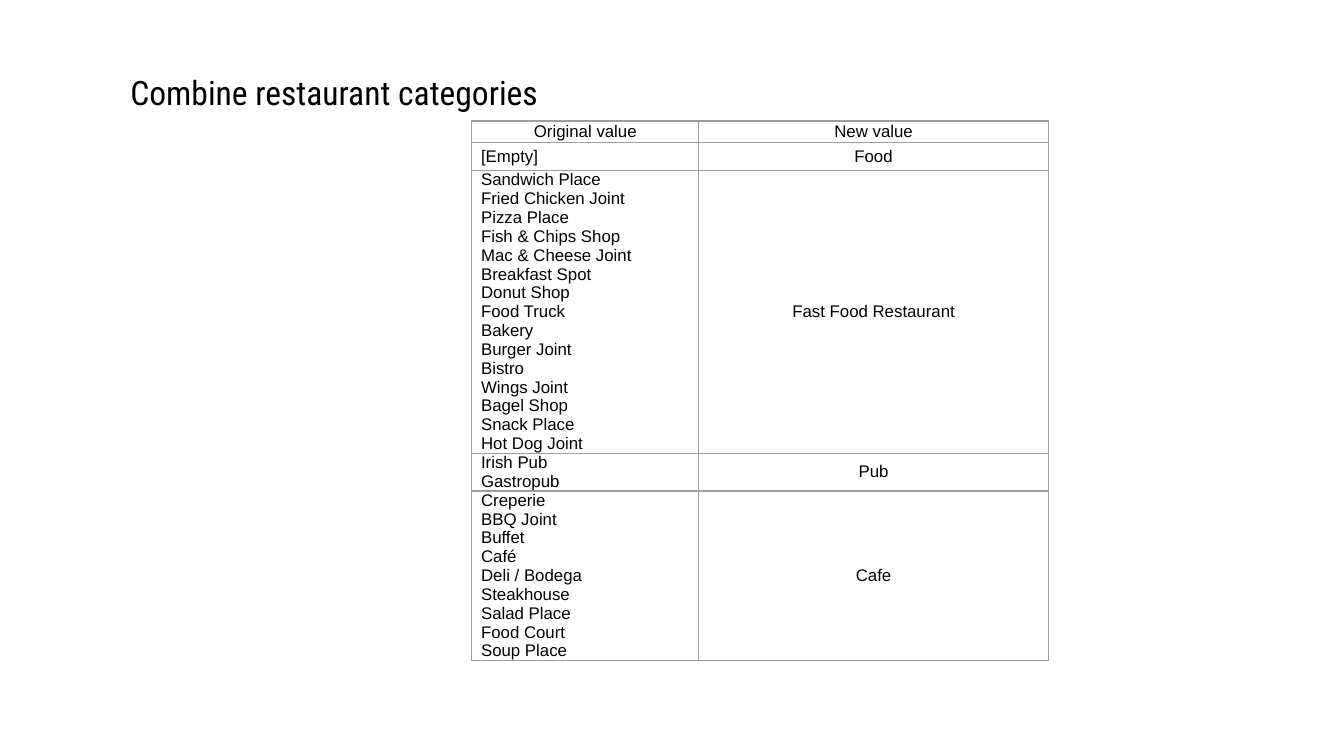
from pptx import Presentation
from pptx.dml.color import RGBColor
from pptx.enum.text import MSO_ANCHOR, MSO_AUTO_SIZE, PP_ALIGN
from pptx.oxml import parse_xml
from pptx.oxml.ns import nsdecls
from pptx.util import Inches, Pt

TOP, MIDDLE = MSO_ANCHOR.TOP, MSO_ANCHOR.MIDDLE
LEFT, CENTER, JUSTIFY = PP_ALIGN.LEFT, PP_ALIGN.CENTER, PP_ALIGN.JUSTIFY
NO_AUTOFIT = MSO_AUTO_SIZE.NONE
TITLE_ONLY = 5

SLIDE_WIDTH = 10
SLIDE_HEIGHT = SLIDE_WIDTH * 9 / 16
BLACK, WHITE, GREY = "000000", "FFFFFF", "9E9E9E"
COLUMN_WIDTHS = (1.69, 2.6)

# Row height, original values, new value
CATEGORIES = [
    (0.21, ["[Empty]"], "Food"),
    (1.94, ["Sandwich Place", "Fried Chicken Joint", "Pizza Place",
            "Fish & Chips Shop", "Mac & Cheese Joint", "Breakfast Spot",
            "Donut Shop", "Food Truck", "Bakery", "Burger Joint", "Bistro",
            "Wings Joint", "Bagel Shop", "Snack Place", "Hot Dog Joint"],
     "Fast Food Restaurant"),
    (0.26, ["Irish Pub", "Gastropub"], "Pub"),
    (1.17, ["Creperie", "BBQ Joint", "Buffet", "Café", "Deli / Bodega",
            "Steakhouse", "Salad Place", "Food Court", "Soup Place"], "Cafe"),
]


def color(hex_value):
    return RGBColor.from_string(hex_value)


def set_font(para, name, size):
    para.font.name = name
    para.font.size = Pt(size)
    para.font.color.rgb = color(BLACK)


def add_title(page, text):
    title = page.shapes.title
    title.left, title.top = Inches(0.7), Inches(0.39)
    title.width, title.height = Inches(8.61), Inches(4.81)
    frame = title.text_frame
    frame.word_wrap = True
    frame.auto_size = NO_AUTOFIT
    frame.vertical_anchor = TOP
    frame.margin_left = frame.margin_right = Inches(0.1)
    frame.margin_top = frame.margin_bottom = Inches(0.1)
    frame.text = text
    para = frame.paragraphs[0]
    para.alignment = LEFT
    para.line_spacing = 1.15
    properties = para._p.get_or_add_pPr()
    properties.set("marL", str(Inches(0.17)))
    properties.set("indent", "0")
    set_font(para, "Roboto Condensed", 18)


def add_borders(cell):
    """Draw all four cell edges; they must come before the cell's fill."""
    properties = cell._tc.get_or_add_tcPr()
    for position, edge in enumerate(("lnL", "lnR", "lnT", "lnB")):
        properties.insert(position, parse_xml(
            f'<a:{edge} {nsdecls("a")} w="{Pt(0.75)}"><a:solidFill>'
            f'<a:srgbClr val="{GREY}"/></a:solidFill></a:{edge}>'))


def fill_cell(cell, lines, alignment):
    cell.fill.solid()
    cell.fill.fore_color.rgb = color(WHITE)
    add_borders(cell)
    cell.vertical_anchor = MIDDLE
    cell.margin_left = cell.margin_right = Inches(0.07)
    cell.margin_top = cell.margin_bottom = 0
    cell.text = "\n".join(lines)
    for para in cell.text_frame.paragraphs:
        para.alignment = alignment
        set_font(para, "Arial", 9)


def add_category_table(page):
    heights = [0.16] + [height for height, _, _ in CATEGORIES]
    shape = page.shapes.add_table(
        len(heights), len(COLUMN_WIDTHS), Inches(3.51), Inches(0.9),
        Inches(sum(COLUMN_WIDTHS)), Inches(sum(heights)))
    table = shape.table
    for column, width in zip(table.columns, COLUMN_WIDTHS):
        column.width = Inches(width)
    for row, height in zip(table.rows, heights):
        row.height = Inches(height)
    shape.height = Inches(4.27)
    for column, heading in enumerate(("Original value", "New value")):
        fill_cell(table.cell(0, column), [heading], CENTER)
    for row, (_, originals, new_value) in enumerate(CATEGORIES, start=1):
        fill_cell(table.cell(row, 0), originals, JUSTIFY)
        fill_cell(table.cell(row, 1), [new_value], CENTER)


def main():
    deck = Presentation()
    deck.slide_width = Inches(SLIDE_WIDTH)
    deck.slide_height = Inches(SLIDE_HEIGHT)
    page = deck.slides.add_slide(deck.slide_layouts[TITLE_ONLY])
    add_title(page, "Combine restaurant categories")
    add_category_table(page)
    deck.save("out.pptx")


if __name__ == "__main__":
    main()
